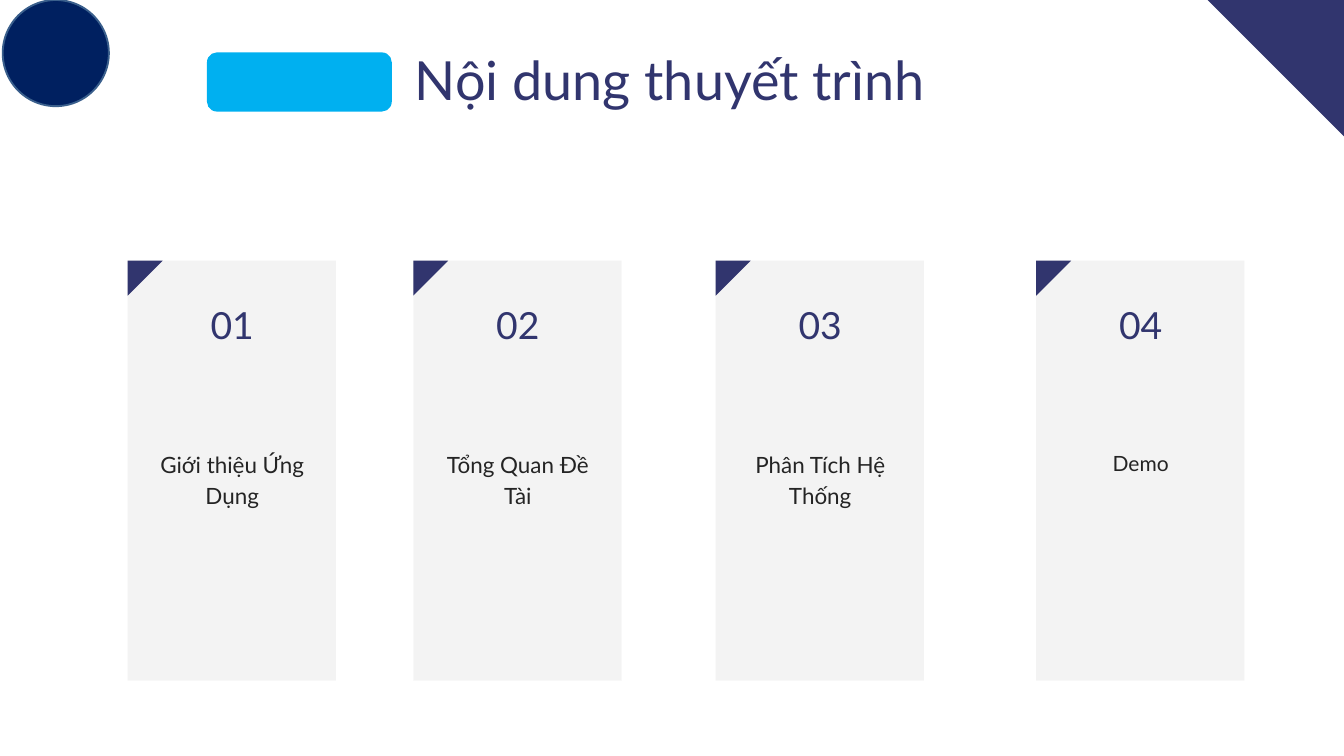
"""Build the agenda slide with four numbered topic cards."""
from lxml.etree import SubElement
from pptx import Presentation
from pptx.dml.color import RGBColor
from pptx.enum.shapes import MSO_SHAPE as Shape
from pptx.enum.text import MSO_AUTO_SIZE as AutoSize, PP_ALIGN as Align
from pptx.oxml.ns import qn
from pptx.util import Inches, Pt

NAVY = RGBColor(0x31, 0x35, 0x6E)
INK = RGBColor(0x24, 0x24, 0x24)
SKY = RGBColor(0x00, 0xB0, 0xF0)
DEEP_BLUE = RGBColor(0x00, 0x20, 0x60)
RIM_BLUE = RGBColor(0x3A, 0x5F, 0x8C)

FRAME_FORMAT = {
    "margin_left": 0, "margin_top": 0, "margin_right": 0, "margin_bottom": 0,
    "word_wrap": True, "auto_size": AutoSize.SHAPE_TO_FIT_TEXT,
}


def add_figure(parent, preset, box, color, rotation=0):
    figure = parent.add_shape(preset, *map(Inches, box))
    figure.rotation = rotation
    figure.shadow.inherit = False
    figure.fill.solid()
    figure.fill.fore_color.rgb = color
    figure.line.fill.background()
    return figure


def add_label(parent, text, box, size, spacing, color):
    frame = parent.add_textbox(*map(Inches, box)).text_frame
    for name, value in FRAME_FORMAT.items():
        setattr(frame, name, value)
    paragraph = frame.paragraphs[0]
    paragraph.alignment = Align.CENTER
    paragraph.line_spacing = Pt(spacing)
    run = paragraph.add_run()
    run.text = text
    for name, value in {"name": "Lato", "size": Pt(size)}.items():
        setattr(run.font, name, value)
    run.font.color.rgb = color


deck = Presentation()
deck.slide_width, deck.slide_height = Inches(20), Inches(11.25)
shapes = deck.slides.add_slide(deck.slide_layouts[6]).shapes

add_label(shapes, "Nội dung thuyết trình", (2.61, 0.7, 14.72, 0.96), 57.8, 69.3, NAVY)

topics = [
    (1.9, "Giới thiệu Ứng Dụng", 24, 0.91),
    (6.15, "Tổng Quan Đề Tài", 24, 0.91),
    (10.65, "Phân Tích Hệ Thống", 24, 0.91),
    (15.42, "Demo", 22.5, 0.4),
]
for number, (left, topic, size, height) in enumerate(topics, start=1):
    card = shapes.add_group_shape().shapes
    panel = add_figure(card, Shape.RECTANGLE, (left, 3.88, 3.1, 6.25), INK)
    tint = panel.fill._xPr.find(qn("a:solidFill"))[0]
    SubElement(tint, qn("a:alpha"), val="5000")
    add_figure(card, Shape.RIGHT_TRIANGLE, (left, 3.88, 0.52, 0.52), NAVY, 90)
    text_left = left + 0.31
    add_label(card, topic, (text_left, 6.64, 2.49, height), size, size * 1.4, INK)
    add_label(card, f"{number:02}", (text_left, 4.49, 2.49, 0.66), 40, 48, NAVY)

add_figure(shapes, Shape.ROUNDED_RECTANGLE, (3.08, 0.78, 2.75, 0.88), SKY)
badge = add_figure(shapes, Shape.OVAL, (0.04, 0, 1.58, 1.58), DEEP_BLUE)
badge.line.color.rgb = RIM_BLUE
badge.line.width = Pt(2)
add_figure(shapes, Shape.RIGHT_TRIANGLE, (17.97, 0, 2.03, 2.03), NAVY, 180)

deck.save("out.pptx")
